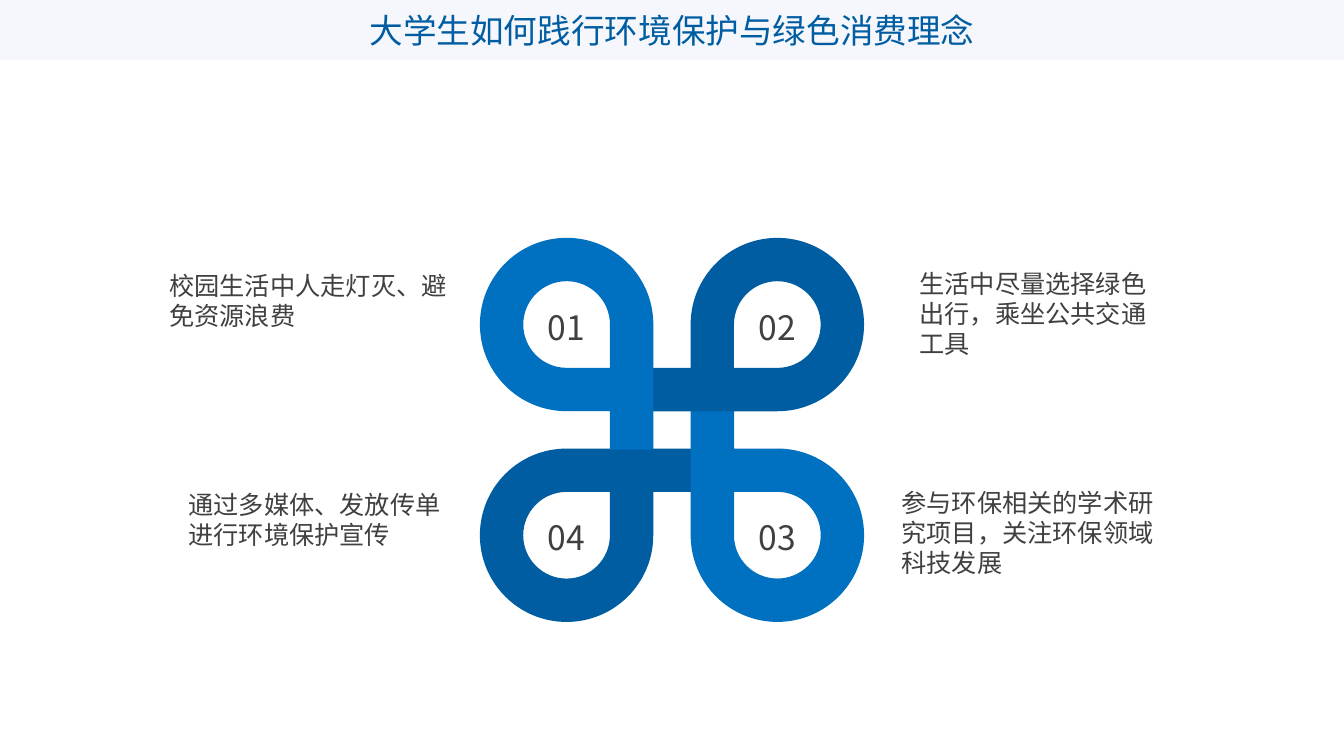
from math import cos, radians, sin, tan

from lxml import etree
from pptx import Presentation
from pptx.dml.color import RGBColor
from pptx.enum import text as tx
from pptx.oxml.ns import qn
from pptx.util import Inches, Pt

TITLE = "大学生如何践行环境保护与绿色消费理念"
FONT = "Noto Sans CJK SC"
HEX = {"band": "F6F7FC", "dark": "005DA2", "light": "0070C0", "text": "404040"}

# number, centre, quarter turns, colour; from back to front
LOOPS = [
    ("04", (5.62, 5.31), 3, "dark"),
    ("03", (7.71, 5.31), 2, "light"),
    ("02", (7.71, 3.22), 1, "dark"),
    ("01", (5.62, 3.22), 0, "light"),
]
NOTES = [
    ("生活中尽量选择绿色出行，乘坐公共交通工具", (9.12, 2.66, 2.45, 0.4)),
    ("校园生活中人走灯灭、避免资源浪费", (1.68, 2.68, 2.81, 1.24)),
    ("参与环保相关的学术研究项目，关注环保领域科技发展", (8.94, 4.83, 2.72, 1.23)),
    ("通过多媒体、发放传单进行环境保护宣传", (1.87, 4.85, 2.7, 0.97)),
]
OUTER, INNER, TAIL = 0.86, 0.43, 1.24
CURVES = (0, 3, 6, 12, 15, 18)  # segments that start a quarter arc


def color(name):
    return RGBColor.from_string(HEX[name])


def paint(shape, name):
    shape.fill.solid()
    shape.fill.fore_color.rgb = color(name)


def place(shape, box):
    for key, val in zip(("left", "top", "width", "height"), box):
        setattr(shape, key, Inches(val))


def write(shape, words, size, tint, frame, align):
    """Put one formatted paragraph of words in a shape."""
    body = shape.text_frame
    for key, val in frame.items():
        setattr(body, key, val)
    para = body.paragraphs[0]
    para.alignment = align
    run = para.add_run()
    run.text = words
    for key, val in {"size": Pt(size), "name": FONT, "bold": False}.items():
        setattr(run.font, key, val)
    run.font.color.rgb = color(tint)
    east = etree.SubElement(run.font._element, qn("a:ea"))
    east.set("typeface", FONT)


def arc(radius, angles, turn):
    """Two handles and an end point for each quarter arc."""
    pull = 4 / 3 * tan(radians(turn / 4))
    points = []
    for angle in angles:
        (c, s), (d, t) = [(cos(radians(a)), sin(radians(a)))
                          for a in (angle, angle + turn)]
        quarter = (c - pull * s, s + pull * c), (d + pull * t, t - pull * d), (d, t)
        points += [(radius * x, radius * y) for x, y in quarter]
    return points


def outline(center, turns):
    """Ring open at one corner, with a long and a short tail, turned clockwise."""
    points = [(0, OUTER)] + arc(OUTER, (90, 180, 270), 90)
    points += [(OUTER, TAIL), (INNER, TAIL), (INNER, 0)]
    points += arc(INNER, (360, 270, 180), -90)
    points += [(INNER, INNER), (INNER, OUTER)]
    for _ in range(turns):
        points = [(-y, x) for x, y in points]
    return [(Inches(center[0] + x), Inches(center[1] + y)) for x, y in points]


def bend(shape):
    """Join the segments of each quarter arc into one curve."""
    lines = list(shape._element.iter(qn("a:lnTo")))
    for first in CURVES:
        curve = etree.Element(qn("a:cubicBezTo"))
        lines[first].addprevious(curve)
        for line in lines[first:first + 3]:
            curve.append(line[0])
            line.getparent().remove(line)


def main():
    deck = Presentation()
    deck.slide_width, deck.slide_height = Inches(13.33), Inches(7.5)
    slide = deck.slides.add_slide(deck.slide_layouts[5])
    shapes = slide.shapes
    middle = {"word_wrap": True, "vertical_anchor": tx.MSO_ANCHOR.MIDDLE,
              "auto_size": tx.MSO_AUTO_SIZE.NONE}
    sides = ("margin_left", "margin_top", "margin_right", "margin_bottom")
    flush = {"word_wrap": True, **dict.fromkeys(sides, 0)}

    title = shapes.title
    place(title, (0, 0, 13.33, 0.6))
    paint(title, "band")
    write(title, TITLE, 24, "dark", middle, tx.PP_ALIGN.CENTER)

    for number, center, turns, tint in LOOPS:
        start, *rest = outline(center, turns)
        pen = shapes.build_freeform(*start)
        pen.add_line_segments(rest, close=True)
        loop = pen.convert_to_shape()
        bend(loop)
        loop.shadow.inherit = False
        loop.line.fill.background()
        paint(loop, tint)

    for number, (x, y), turns, tint in LOOPS:
        label = shapes.add_textbox(0, 0, 0, 0)
        place(label, (x - 0.47, y - 0.23, 0.94, 0.5))
        write(label, number, 24, "text", middle, tx.PP_ALIGN.CENTER)

    for words, box in NOTES:
        note = shapes.add_textbox(0, 0, 0, 0)
        place(note, box)
        write(note, words, 18, "text", flush, tx.PP_ALIGN.LEFT)

    deck.save("out.pptx")


if __name__ == "__main__":
    main()
